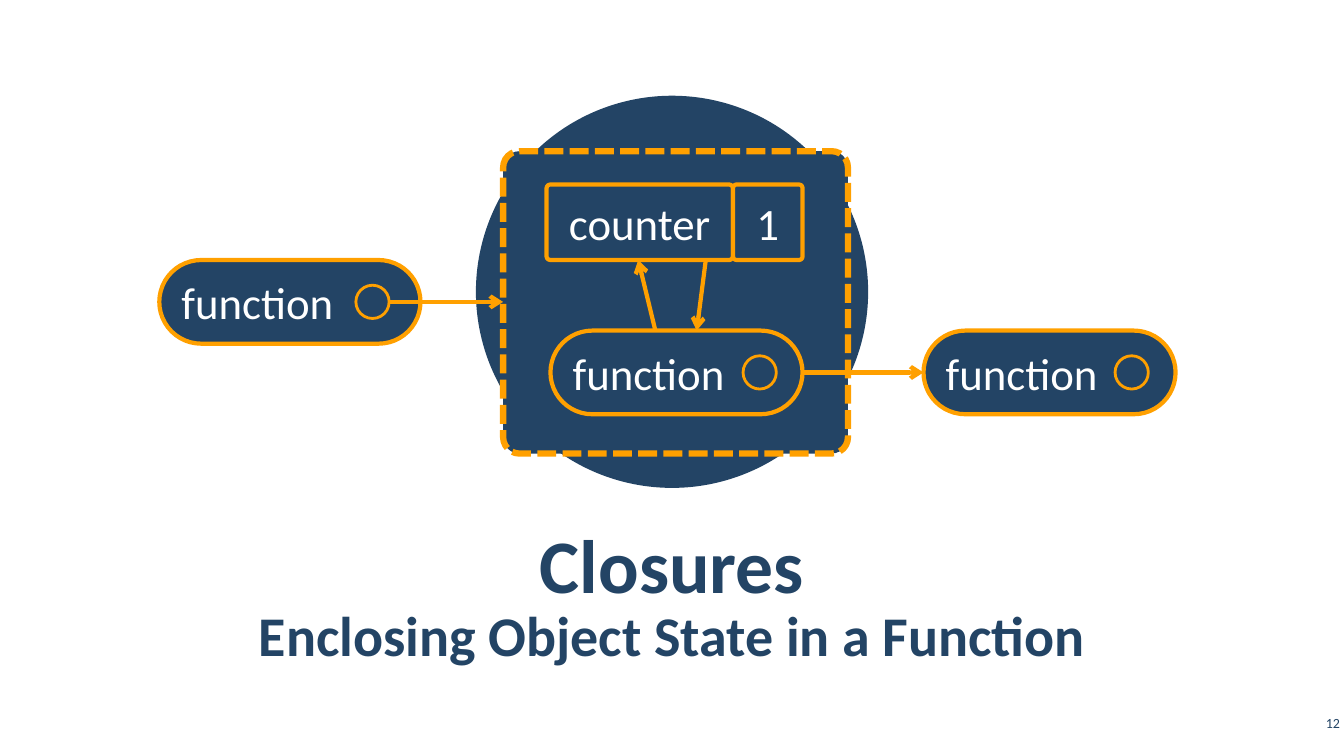
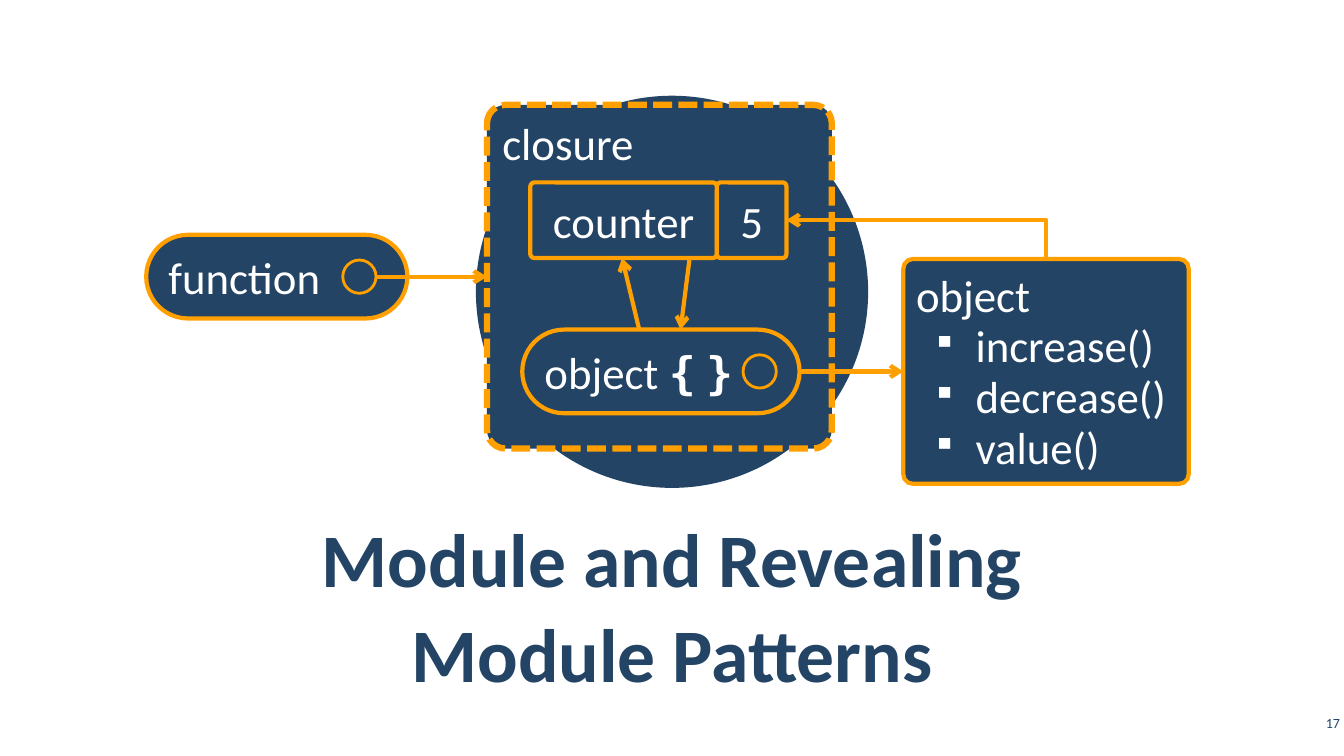
from pptx import Presentation
from pptx.dml.color import RGBColor
from pptx.enum.dml import MSO_LINE as Dash
from pptx.enum.shapes import MSO_CONNECTOR as Link, MSO_SHAPE as Geo
from pptx.enum.text import MSO_ANCHOR as Anchor, PP_ALIGN as Align
from pptx.util import Inches, Pt
from pptx.oxml.ns import qn
from lxml.etree import SubElement

NAVY = RGBColor(0x23, 0x44, 0x65)
AMBER = RGBColor(0xFF, 0xA0, 0x00)
WHITE = RGBColor(0xFF, 0xFF, 0xFF)
FONT = "Calibri"
CODE = {"name": "DejaVu Sans Mono", "bold": True}

# Content: titles are (top, height, size, text); pills are (left, top, width, ring left)
SLIDES = [
    {
        "number": "12",
        "titles": [(5.15, 0.84, 54, "Closures"),
                   (6, 0.55, 40, "Enclosing Object State in a Function")],
        "panel": (4.99, 1.5, 3.42, 3), "label": "",
        "count": "1", "row": 1.83,
        "maker": (1.58, 2.58, 2.59, 3.53),
        "inner": (5.46, 3.28, 2.5, 7.37), "words": [("function", {})],
        "result": (9.16, 3.28, 2.5, 11.06), "methods": [],
    },
    {
        "number": "17",
        "titles": [(5.15, 1.65, 54, "Module and Revealing\vModule Patterns")],
        "panel": (4.83, 1.04, 3.42, 3.41), "label": "closure",
        "count": "5", "row": 1.81,
        "maker": (1.45, 2.33, 2.59, 3.4),
        "inner": (5.18, 3.27, 2.75, 7.37),
        "words": [("object ", {}), ("{", CODE), (" ", {}), ("}", CODE)],
        "result": (8.96, 2.57, 2.83, 2.23),
        "methods": ["increase()", "decrease()", "value()"],
    },
]

# Shared sizes
WIDE, HIGH = 13.33, 7.5
DISC = 3.89
PILL, RING = 0.83, 0.33
NAME, VALUE, CELL = 1.85, 0.69, 0.75
EDGE = 0.67
UP, DOWN = (1.51, 1.34), (2.01, 1.92)  # arrow ends, from the panel's left


def style(run, size=32, color=WHITE, **more):
    for key, value in {"name": FONT, "size": Pt(size), **more}.items():
        setattr(run.font, key, value)
    run.font.color.rgb = color


def shape(slide, geo, box, line=3, adj=None):
    item = slide.shapes.add_shape(geo, *map(Inches, box))
    item.shadow.inherit = False
    item.fill.solid()
    item.fill.fore_color.rgb = NAVY
    if line:
        item.line.color.rgb = AMBER
        item.line.width = Pt(line)
    else:
        item.line.fill.background()
    if adj is not None:
        item.adjustments[0] = adj
    return item


def write(item, words, align=Align.LEFT, anchor=Anchor.MIDDLE):
    item.text_frame.vertical_anchor = anchor
    para = item.text_frame.paragraphs[0]
    para.alignment = align
    for text, more in words:
        run = para.add_run()
        run.text = text
        style(run, **more)


def arrow(slide, start, end, kind=Link.STRAIGHT):
    item = slide.shapes.add_connector(kind, *map(Inches, start + end))
    item.line.color.rgb = AMBER
    item.line.width = Pt(3)
    SubElement(item.line._get_or_add_ln(), qn("a:tailEnd"), type="arrow")
    SubElement(item._element.spPr, qn("a:effectLst"))
    return item


def corner(slide, start, end):
    """Go straight up from start, then left to end."""
    run, rise = start[0] - end[0], start[1] - end[1]
    x, y = (start[0] + end[0]) / 2, (start[1] + end[1]) / 2
    item = arrow(slide, (x - rise / 2, y + run / 2),
                 (x + rise / 2, y - run / 2), Link.ELBOW)
    props = item._element.spPr
    props.find(qn("a:xfrm")).set("rot", str(270 * 60000))
    props.find(qn("a:prstGeom")).set("prst", "bentConnector2")


def pill(slide, spot, words):
    left, top, width, ring = spot
    write(shape(slide, Geo.ROUNDED_RECTANGLE, (left, top, width, PILL), adj=0.5), words)
    shape(slide, Geo.OVAL, (ring, top + (PILL - RING) / 2, RING, RING), line=2)


def label(slide, box, text, align, pad, **more):
    frame = slide.shapes.add_textbox(*map(Inches, box)).text_frame
    frame.word_wrap = True
    frame.vertical_anchor = Anchor.MIDDLE
    for side, gap in zip(("left", "right", "top", "bottom"), (pad, pad, 0.04, 0.04)):
        setattr(frame, "margin_" + side, Inches(gap))
    para = frame.paragraphs[0]
    para.text = text
    para.alignment = align
    for run in para.runs:
        style(run, color=NAVY, **more)
    return para


def bullets(item, lines):
    for text in lines:
        para = item.text_frame.add_paragraph()
        para.alignment = Align.LEFT
        para.line_spacing = 0.95
        props = para._p.get_or_add_pPr()
        props.set("marL", str(Inches(0.59)))
        props.set("indent", str(-Inches(0.43)))
        tint = SubElement(props, qn("a:buClr"))
        SubElement(tint, qn("a:srgbClr"), val=str(WHITE))
        SubElement(props, qn("a:buSzPct"), val="75000")
        SubElement(props, qn("a:buChar"), char="▪")
        run = para.add_run()
        run.text = text
        style(run)


def base(slide, data):
    """Disc, titles and page number, as on every slide."""
    shape(slide, Geo.OVAL, ((WIDE - DISC) / 2, 0.95, DISC, DISC), line=0)
    for top, high, size, text in data["titles"]:
        para = label(slide, (EDGE, top, WIDE - 2 * EDGE, high), text,
                     Align.CENTER, 0.12, size=size, bold=True)
        para.line_spacing = 1.05
        para.space_before = para.space_after = Pt(6)
    label(slide, (WIDE - 0.47, 7, 0.47, 0.34), data["number"],
          Align.RIGHT, 0.04, size=10)


def diagram(slide, data):
    left, row = data["panel"][0], data["row"]
    maker, inner, result = data["maker"], data["inner"], data["result"]
    foot, mid = row + CELL, inner[1] + PILL / 2

    # Closure panel and the arrows inside it
    panel = shape(slide, Geo.ROUNDED_RECTANGLE, data["panel"], 4.5, 0.054)
    panel.line.dash_style = Dash.SQUARE_DOT
    if data["label"]:
        write(panel, [(data["label"], {})], anchor=Anchor.TOP)
    arrow(slide, (left + UP[0], inner[1]), (left + UP[1], foot))
    arrow(slide, (left + DOWN[0], foot), (left + DOWN[1], inner[1]))

    # Outer function leading into the panel
    pill(slide, maker, [("function", {})])
    entry = maker[1] + PILL / 2
    arrow(slide, (maker[3] + RING, entry), (left, entry))

    # Result leaving the panel
    arrow(slide, (inner[3] + RING, mid), (result[0], mid))
    if data["methods"]:
        box = shape(slide, Geo.ROUNDED_RECTANGLE, result, adj=0.042)
        write(box, [("object", {})])
        bullets(box, data["methods"])
    else:
        pill(slide, result, [("function", {})])

    # Counter cells and inner pill
    x = left + 0.43
    for text, width in (("counter", NAME), (data["count"], VALUE)):
        cell = shape(slide, Geo.ROUNDED_RECTANGLE, (x, row, width, CELL), adj=0.053)
        write(cell, [(text, {})], Align.CENTER)
        x += width
    pill(slide, inner, data["words"])
    if data["methods"]:
        corner(slide, (result[0] + result[2] / 2, result[1]), (x, row + CELL / 2))


def main():
    deck = Presentation()
    deck.slide_width, deck.slide_height = Inches(WIDE), Inches(HIGH)
    for data in SLIDES:
        slide = deck.slides.add_slide(deck.slide_layouts[6])
        base(slide, data)
        diagram(slide, data)
    deck.save("out.pptx")


if __name__ == "__main__":
    main()
